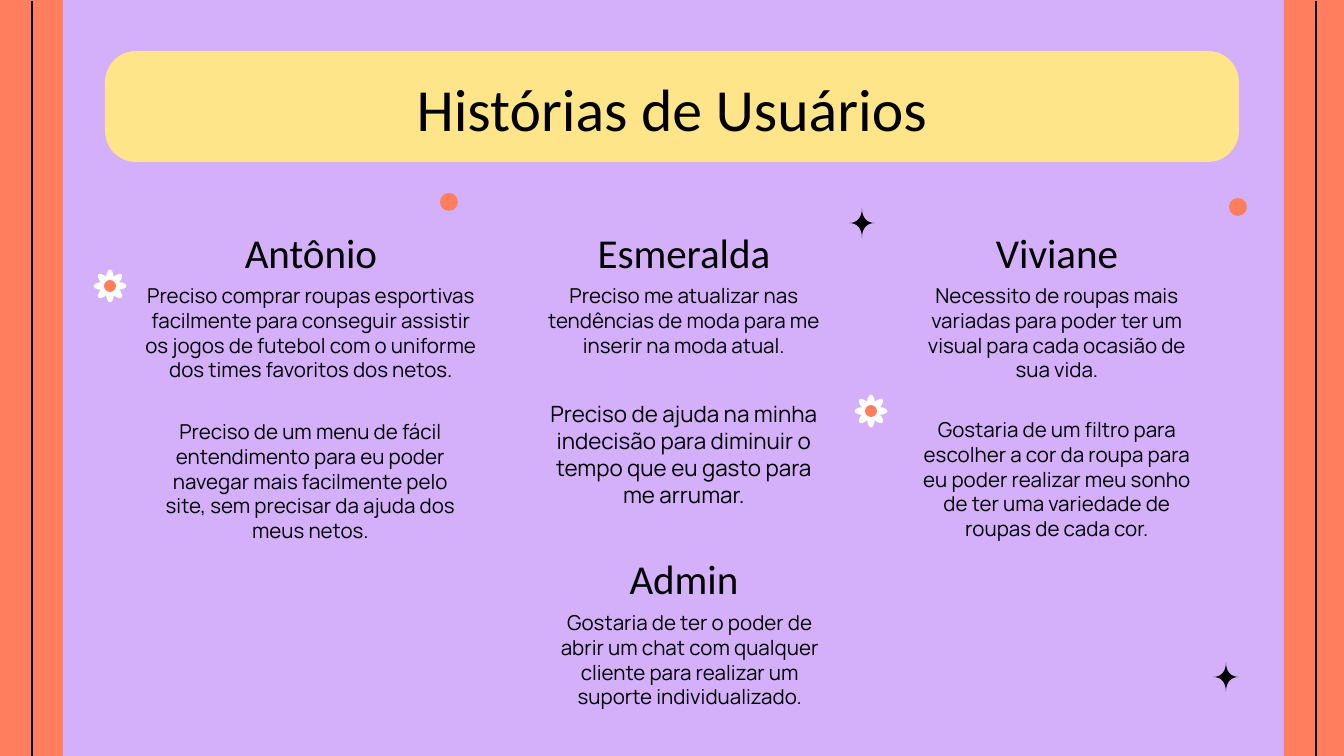
import math

import pptx
import pptx.dml.color
import pptx.enum.shapes
import pptx.enum.text
import pptx.oxml
import pptx.oxml.ns
import pptx.util

PX = 914400 / 134.4  # EMU in one px
RGB = pptx.dml.color.RGBColor.from_string
SHAPE = pptx.enum.shapes.MSO_SHAPE
ANCHOR = pptx.enum.text.MSO_ANCHOR
THEME = {
    "lilac": RGB("D4AFFA"), "coral": RGB("FF7E5E"), "yellow": RGB("FFE589"),
    "white": RGB("FFFFFF"), "black": RGB("000000"),
    "title": ("Calibri", 32), "name": ("Calibri", 22),
    "story": ("Manrope", 11), "large story": ("Manrope", 12),
}


def paint(sp, color):
    sp.shadow.inherit = False
    sp.fill.solid()
    sp.fill.fore_color.rgb = THEME[color]
    sp.line.fill.background()


def write(sp, text, style, anchor=ANCHOR.TOP):
    tf = sp.text_frame
    inset = pptx.util.Inches(0.1)
    frame = {"word_wrap": True, "auto_size": pptx.enum.text.MSO_AUTO_SIZE.NONE,
             "vertical_anchor": anchor, "margin_left": inset, "margin_right": inset,
             "margin_top": inset, "margin_bottom": inset}
    for key, value in frame.items():
        setattr(tf, key, value)
    p = tf.paragraphs[0]
    p.alignment = pptx.enum.text.PP_ALIGN.CENTER
    r = p.add_run()
    r.text = text
    font, size = THEME[style]
    if font == "Manrope":
        p.line_spacing = pptx.util.Pt(round(size * 1.2, 1))
    for key, value in {"name": font, "size": pptx.util.Pt(size), "bold": False}.items():
        setattr(r.font, key, value)
    r.font.color.rgb = THEME["black"]


prs = pptx.Presentation()
prs.slide_width, prs.slide_height = round(1344 * PX), round(756 * PX)
s = prs.slides.add_slide(prs.slide_layouts[5])
s.background.fill.solid()
s.background.fill.fore_color.rgb = THEME["lilac"]

# Side bands, each with a thin line down its middle
for left, line_x in ((0, 32), (1284, 1316)):
    box = [round(v * PX) for v in (left, 0, 63, 756)]
    paint(s.shapes.add_shape(SHAPE.RECTANGLE, *box), "coral")
    ends = [round(v * PX) for v in (line_x, 756, line_x, 1)]
    line = s.shapes.add_connector(pptx.enum.shapes.MSO_CONNECTOR.STRAIGHT, *ends)
    line.line.color.rgb = THEME["black"]
    line.line.width = pptx.util.Pt(0.75)
    line.element.spPr.append(pptx.oxml.parse_xml(
        f"<a:effectLst {pptx.oxml.ns.nsdecls('a')}/>"))

# Title on its banner
banner = s.shapes.add_shape(
    SHAPE.ROUNDED_RECTANGLE, *[round(v * PX) for v in (105, 51, 1134, 111)])
banner.adjustments[0] = 0.28
paint(banner, "yellow")
title = s.shapes.title
title.left, title.top, title.width, title.height = [
    round(v * PX) for v in (105, 65, 1134, 85)]
write(title, "Histórias de Usuários", "title", ANCHOR.MIDDLE)
title.element.getparent().append(title.element)

# Users and their stories
texts = [
    (153, 214, 316, 56, "name", "Antônio"),
    (132, 270, 358, 125, "story", "Preciso comprar roupas esportivas facilmente para conseguir "
     "assistir os jogos de futebol com o uniforme dos times favoritos dos netos."),
    (146, 406, 329, 152, "story", "Preciso de um menu de fácil entendimento para eu poder "
     "navegar mais facilmente pelo site, sem precisar da ajuda dos meus netos."),
    (526, 214, 316, 56, "name", "Esmeralda"),
    (526, 270, 316, 85, "story",
     "Preciso me atualizar nas tendências de moda para me inserir na moda atual."),
    (526, 387, 316, 121, "large story", "Preciso de ajuda na minha indecisão para diminuir o "
     "tempo que eu gasto para me arrumar."),
    (899, 214, 316, 56, "name", "Viviane"),
    (899, 270, 316, 125, "story", "Necessito de roupas mais variadas para poder ter um visual "
     "para cada ocasião de sua vida."),
    (899, 404, 316, 129, "story", "Gostaria de um filtro para escolher a cor da roupa para eu "
     "poder realizar meu sonho de ter uma variedade de roupas de cada cor."),
    (526, 540, 316, 56, "name", "Admin"),
    (532, 597, 316, 126, "story", "Gostaria de ter o poder de abrir um chat com qualquer "
     "cliente para realizar um suporte individualizado."),
]
for x, y, w, h, style, text in texts:
    box = [round(v * PX) for v in (x, y, w, h)]
    write(s.shapes.add_textbox(*box), text, style)

# Flowers: eight petals round a centre, and loose dots
ovals = [(449, 202, 18, 18, 0, "coral"), (1238, 207, 18, 18, 0, "coral")]
for cx, cy in ((110, 286), (871, 411)):
    for angle in range(0, 360, 45):
        turn = math.radians(angle)
        ovals.append((cx + 7 * math.cos(turn), cy + 7 * math.sin(turn), 19, 8, angle, "white"))
    ovals.append((cx, cy, 12, 12, 0, "coral"))
for cx, cy, w, h, angle, color in ovals:
    box = [round(v * PX) for v in (cx - w / 2, cy - h / 2, w, h)]
    sp = s.shapes.add_shape(SHAPE.OVAL, *box)
    sp.rotation = angle
    paint(sp, color)

# Sparkles: four points joined by inward curves
curve = []
for i in range(9):
    t = i / 8
    curve.append((13 * t**3 + 15 * t**2 * (1 - t),
                  15 * (1 - t)**3 + 15 * t * (1 - t)**2))
back = curve[::-1]
for cx, cy in ((862, 223), (1226, 677)):
    points = [(cx + x * sx, cy + y * sy)
              for sx, sy, arc in ((1, -1, curve), (1, 1, back), (-1, 1, curve), (-1, -1, back))
              for x, y in arc]
    points = [(round(x * PX), round(y * PX)) for x, y in points]
    outline = s.shapes.build_freeform(*points[0])
    outline.add_line_segments(points[1:], close=True)
    paint(outline.convert_to_shape(), "black")

prs.save("out.pptx")
